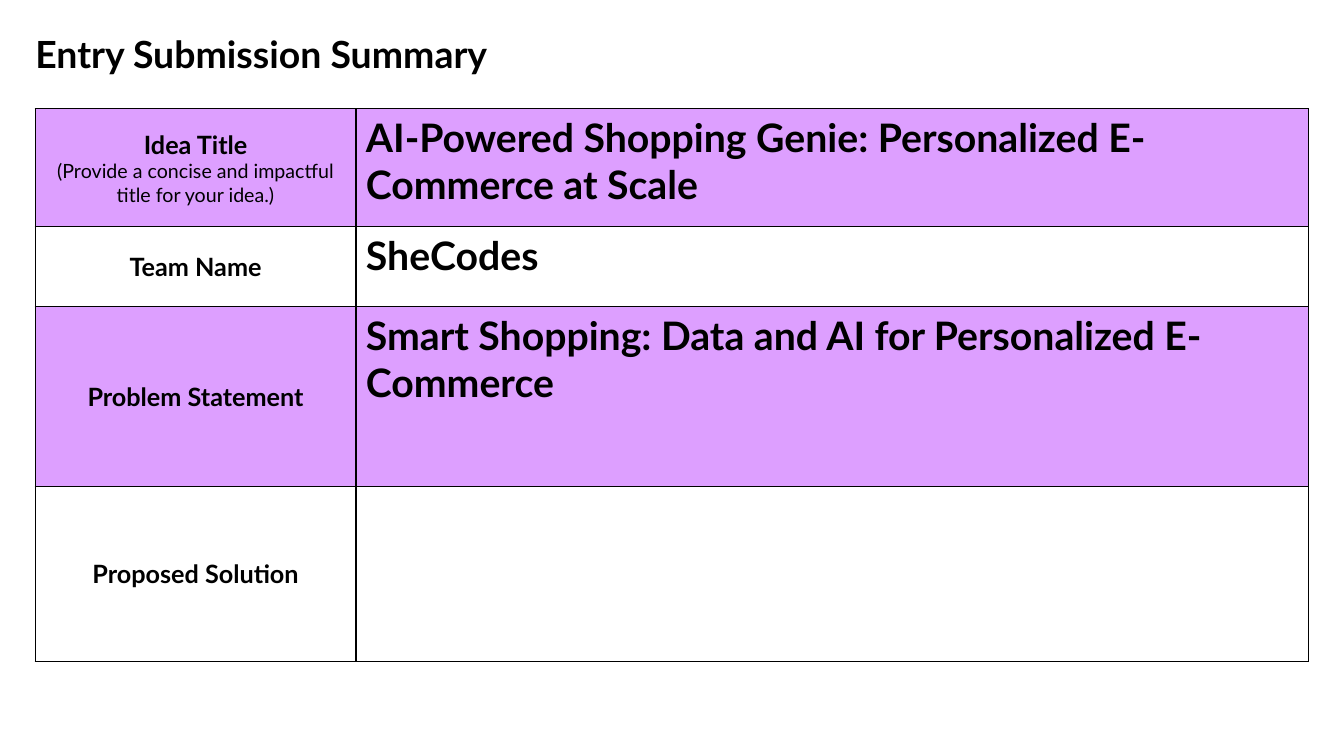
from dataclasses import dataclass

import pptx
import pptx.dml.color
import pptx.enum.text
import pptx.oxml
import pptx.oxml.ns
import pptx.util
from pptx.util import Inches


@dataclass(frozen=True)
class Theme:
    font: str = "Lato"
    ink: str = "000000"
    band: str = "DD9FFF"
    paper: str = "FFFFFF"
    title: float = 26.7
    label: float = 18
    hint: float = 14
    answer: float = 28
    border: float = 1


THEME = Theme()

# label, hint, answer, row height in inches
ENTRIES = [
    ("Idea Title", "(Provide a concise and impactful title for your idea.)",
     "AI-Powered Shopping Genie: Personalized E-Commerce at Scale", 1.17),
    ("Team Name", "", "SheCodes", 0.79),
    ("Problem Statement", "",
     "Smart Shopping: Data and AI for Personalized E-Commerce", 1.79),
    ("Proposed Solution", "", "", 1.73),
]


def rgb(color):
    return pptx.dml.color.RGBColor.from_string(color)


def add_run(p, text, size, bold=True):
    r = p.add_run()
    r.text = text
    r.font.name = THEME.font
    r.font.size = pptx.util.Pt(size)
    r.font.bold = bold
    r.font.color.rgb = rgb(THEME.ink)


def style_cell(cell, fill):
    """Draw all four borders, then the fill, in the order the schema requires."""
    tc_pr = cell._tc.get_or_add_tcPr()
    width = pptx.util.Pt(THEME.border)
    for side in ("lnL", "lnR", "lnT", "lnB"):
        tc_pr.append(pptx.oxml.parse_xml(
            f'<a:{side} {pptx.oxml.ns.nsdecls("a")} w="{width}"><a:solidFill>'
            f'<a:srgbClr val="{THEME.ink}"/></a:solidFill></a:{side}>'))
    cell.fill.solid()
    cell.fill.fore_color.rgb = rgb(fill)


def add_title(s, text, left, top, width, height):
    sp = s.shapes.title
    sp.left, sp.top = Inches(left), Inches(top)
    sp.width, sp.height = Inches(width), Inches(height)
    tf = sp.text_frame
    tf.word_wrap = True
    tf.auto_size = pptx.enum.text.MSO_AUTO_SIZE.NONE
    tf.vertical_anchor = pptx.enum.text.MSO_ANCHOR.TOP
    tf.margin_left = tf.margin_top = tf.margin_bottom = 0
    tf.margin_right = Inches(0.13)
    p = tf.paragraphs[0]
    p.alignment = pptx.enum.text.PP_ALIGN.LEFT
    p.line_spacing = 0.8
    add_run(p, text, THEME.title)


def add_summary_table(s, entries, left, top, width, label_width):
    height = sum(entry[-1] for entry in entries)
    table = s.shapes.add_table(len(entries), 2, Inches(left), Inches(top),
                               Inches(width), Inches(height)).table
    table.first_row = table.horz_banding = False
    table.columns[0].width = Inches(label_width)
    table.columns[1].width = Inches(width - label_width)
    for i, (label, hint, answer, row_height) in enumerate(entries):
        table.rows[i].height = Inches(row_height)
        label_cell, answer_cell = table.cell(i, 0), table.cell(i, 1)
        for cell in (label_cell, answer_cell):
            style_cell(cell, THEME.paper if i % 2 else THEME.band)
        label_cell.vertical_anchor = pptx.enum.text.MSO_ANCHOR.MIDDLE
        p = label_cell.text_frame.paragraphs[0]
        p.alignment = pptx.enum.text.PP_ALIGN.CENTER
        add_run(p, label, THEME.label)
        if hint:
            p.add_line_break()
            add_run(p, hint, THEME.hint, bold=False)
        if answer:
            add_run(answer_cell.text_frame.paragraphs[0], answer, THEME.answer)


def main():
    prs = pptx.Presentation()
    prs.slide_width, prs.slide_height = Inches(13.33), Inches(7.5)
    s = prs.slides.add_slide(prs.slide_layouts.get_by_name("Title Only"))
    add_title(s, "Entry Submission Summary", 0.35, 0.39, 12.29, 0.93)
    add_summary_table(s, ENTRIES, 0.35, 1.08, 12.63, 3.18)
    prs.save("out.pptx")


if __name__ == "__main__":
    main()
